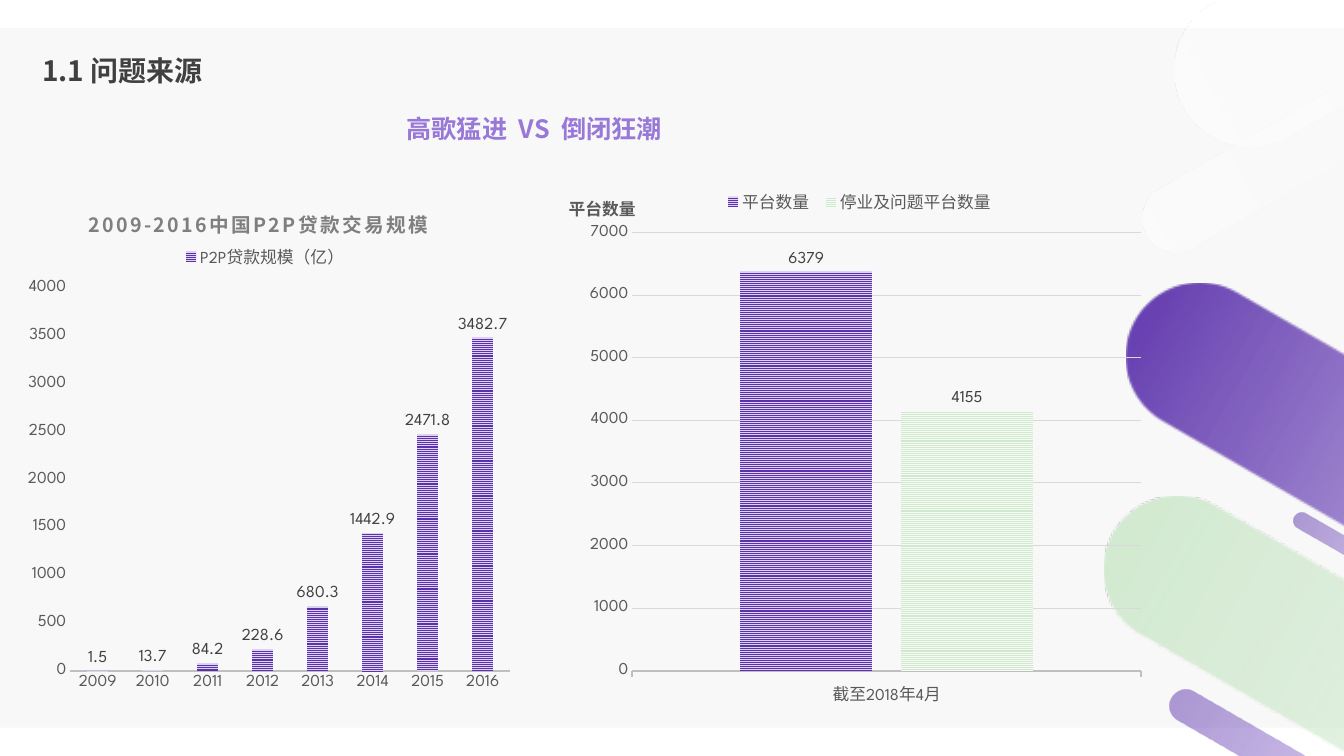
import dataclasses
import typing

import lxml.etree
import pptx
import pptx.chart.data
import pptx.dml.color
import pptx.enum.chart
import pptx.enum.dml
import pptx.enum.shapes
import pptx.enum.text
import pptx.oxml.ns
import pptx.util

RGB = pptx.dml.color.RGBColor
Pt = pptx.util.Pt
qn = pptx.oxml.ns.qn

WHITE = RGB(0xFF, 0xFF, 0xFF)
PANEL = RGB(0xF8, 0xF8, 0xF8)
PURPLE = RGB(0x5B, 0x32, 0xAB)
VIOLET = RGB(0x5F, 0x34, 0xB2)
LAVENDER = RGB(0x99, 0x79, 0xD8)
PALE_PURPLE = RGB(0xDD, 0xD2, 0xF2)
GREEN = RGB(0xD0, 0xE9, 0xCE)
PALE_GREEN = RGB(0xF6, 0xFB, 0xF5)
INK = RGB(0x40, 0x40, 0x40)
LABEL = RGB(0x59, 0x59, 0x59)
TITLE_GRAY = RGB(0x7F, 0x7F, 0x7F)
AXIS_GRAY = RGB(0xBF, 0xBF, 0xBF)
GRID_GRAY = RGB(0xD9, 0xD9, 0xD9)
CJK_FONT = "Noto Sans CJK SC"
CHART_FONT = "League Spartan"

# Gradient stops: position %, colour, opacity %
Stops = tuple[tuple[int, RGB, int], ...]
FADE: Stops = ((85, WHITE, 50), (100, WHITE, 50))
PURPLE_FADE: Stops = ((0, PURPLE, 100), (23, VIOLET, 40)) + FADE
SOFT_FADE: Stops = ((0, PURPLE, 50),) + PURPLE_FADE[1:]
GREEN_FADE: Stops = ((0, GREEN, 100), (22, GREEN, 50)) + FADE
WHITE_FADE: Stops = ((0, WHITE, 50), (21, WHITE, 29), (85, WHITE, 0), (100, WHITE, 0))


class Frame(typing.NamedTuple):
    """Left, top, width and height in percent of the slide."""
    left: float
    top: float
    width: float
    height: float


@dataclasses.dataclass
class Capsule:
    frame: Frame
    tilt: int
    stops: Stops


@dataclasses.dataclass
class Bars:
    name: str
    values: tuple[float, ...]
    stripe: RGB
    ground: RGB


@dataclasses.dataclass
class BarChart:
    frame: Frame
    categories: tuple[str, ...]
    series: tuple[Bars, ...]
    top_value: int
    step: int
    overlap: int
    plot_area: tuple[float, ...]
    legend_area: tuple[float, ...]


deck = pptx.Presentation()
deck.slide_width, deck.slide_height = pptx.util.Inches(13.33), pptx.util.Inches(7.5)
slide = deck.slides.add_slide(deck.slide_layouts[6])


def place(frame: Frame) -> list[int]:
    sides = (deck.slide_width, deck.slide_height) * 2
    return [round(side * share / 100) for side, share in zip(sides, frame)]


def write(text_frame, text: str, *, size: float, color: RGB, font: str = CJK_FONT,
          spacing: int = 0, align=None, line_spacing: float | None = None) -> None:
    paragraph = text_frame.paragraphs[0]
    paragraph.alignment, paragraph.line_spacing = align, line_spacing
    run = paragraph.add_run()
    run.text = text
    style(run.font, size, color, font)
    run.font.bold = True
    properties = run.font._element
    if spacing:
        properties.set("spc", str(spacing))
    lxml.etree.SubElement(properties, qn("a:ea")).set("typeface", CJK_FONT)


def style(font, size: float, color: RGB, name: str = CHART_FONT) -> None:
    font.size, font.name, font.bold = Pt(size), name, False
    font.color.rgb = color


def add_plain(kind, frame: Frame):
    shape = slide.shapes.add_shape(kind, *place(frame))
    shape.shadow.inherit = False
    shape.line.fill.background()
    return shape


def add_capsule(capsule: Capsule) -> None:
    shape = add_plain(pptx.enum.shapes.MSO_SHAPE.ROUNDED_RECTANGLE, capsule.frame)
    shape.adjustments[0] = 0.5
    shape.rotation = capsule.tilt
    shape.fill.gradient()
    shape.fill.gradient_angle = 0
    stop_list = next(shape._element.spPr.iter(qn("a:gsLst")))
    for stop in list(stop_list):
        stop_list.remove(stop)
    for position, color, opacity in capsule.stops:
        stop = lxml.etree.SubElement(stop_list, qn("a:gs"), pos=str(position * 1000))
        fill = lxml.etree.SubElement(stop, qn("a:srgbClr"), val=str(color))
        lxml.etree.SubElement(fill, qn("a:alpha"), val=str(opacity * 1000))


def add_heading(text: str, frame: Frame, **text_format) -> None:
    box = slide.shapes.add_textbox(*place(frame)).text_frame
    box.word_wrap = True
    box.vertical_anchor = pptx.enum.text.MSO_ANCHOR.MIDDLE
    write(box, text, **text_format)


def set_layout(element, index: int, area: tuple[float, ...], inner: bool = False) -> None:
    """Pin a chart part to x, y, w, h given as shares of the chart."""
    for old in element.findall(qn("c:layout")):
        element.remove(old)
    layout = lxml.etree.Element(qn("c:layout"))
    manual = lxml.etree.SubElement(layout, qn("c:manualLayout"))
    settings = [("layoutTarget", "inner")] if inner else []
    settings += [("xMode", "edge"), ("yMode", "edge"), *zip("xywh", area)]
    for tag, value in settings:
        lxml.etree.SubElement(manual, qn(f"c:{tag}")).set("val", str(value))
    element.insert(index, layout)


def add_bar_chart(bar_chart: BarChart):
    data = pptx.chart.data.CategoryChartData()
    data.categories = bar_chart.categories
    for bars in bar_chart.series:
        data.add_series(bars.name, bars.values)
    kinds = pptx.enum.chart
    chart = slide.shapes.add_chart(
        kinds.XL_CHART_TYPE.COLUMN_CLUSTERED, *place(bar_chart.frame), data).chart
    style(chart.font, 12, LABEL)
    chart.has_title = False
    chart.has_legend = True
    chart.legend.position = kinds.XL_LEGEND_POSITION.TOP
    chart.legend.include_in_layout = False
    style(chart.legend.font, 12, LABEL)
    set_layout(chart.legend._element, 1, bar_chart.legend_area)
    set_layout(chart._chartSpace.chart.plotArea, 0, bar_chart.plot_area, inner=True)

    plot = chart.plots[0]
    plot.gap_width, plot.overlap, plot.vary_by_categories = 164, bar_chart.overlap, False
    for bars, drawn in zip(bar_chart.series, plot.series):
        fill = drawn.format.fill
        fill.patterned()
        fill.pattern = pptx.enum.dml.MSO_PATTERN.NARROW_HORIZONTAL
        fill.fore_color.rgb, fill.back_color.rgb = bars.stripe, bars.ground
        labels = drawn.data_labels
        labels.show_value = True
        labels.position = kinds.XL_LABEL_POSITION.OUTSIDE_END
        style(labels.font, 12, INK)

    for axis in (chart.category_axis, chart.value_axis):
        axis.major_tick_mark = kinds.XL_TICK_MARK.NONE
        axis.has_major_gridlines = False
        style(axis.tick_labels.font, 12, LABEL)
    axis_line = chart.category_axis.format.line
    axis_line.color.rgb, axis_line.width = AXIS_GRAY, Pt(1.5)
    values = chart.value_axis
    values.format.line.fill.background()
    values.minimum_scale, values.maximum_scale = 0, bar_chart.top_value
    values.major_unit = bar_chart.step
    return chart


# Background panel and capsules
panel = add_plain(pptx.enum.shapes.MSO_SHAPE.RECTANGLE, Frame(0, 3.73, 100, 92.53))
panel.fill.solid()
panel.fill.fore_color.rgb = PANEL
for decoration in (
    Capsule(Frame(74.27, 101.07, 154.16, 19.6), 30, PURPLE_FADE),
    Capsule(Frame(82.22, -35.33, 89.05, 20.13), 330, WHITE_FADE),
    Capsule(Frame(82.67, 9.07, 39.53, 8.93), 330, WHITE_FADE),
    Capsule(Frame(72.62, 129.33, 154.16, 19.6), 30, GREEN_FADE),
    Capsule(Frame(95.12, 75.33, 18.3, 2.27), 30, SOFT_FADE),
    Capsule(Frame(84.85, 105.73, 35.18, 4.4), 30, SOFT_FADE),
):
    add_capsule(decoration)

# Headings
add_heading("1.1 问题来源", Frame(2.4, 5.73, 37.43, 7.73), size=20, color=INK,
            line_spacing=0.9)
add_heading("高歌猛进  VS  倒闭狂潮", Frame(-3.08, 12.67, 85.67, 6.67), size=18,
            color=LAVENDER, align=pptx.enum.text.PP_ALIGN.CENTER, line_spacing=1.5)

# Platform counts
platforms = add_bar_chart(BarChart(
    Frame(39.83, 23.87, 45.16, 69.47), ("截至2018年4月",),
    (Bars("平台数量", (6379,), PURPLE, PALE_PURPLE),
     Bars("停业及问题平台数量", (4155,), GREEN, PALE_GREEN)),
    7000, 1000, -22, (0.16, 0.1, 0.84, 0.84), (0.3, 0.01, 0.47, 0.06)))
platforms.category_axis.major_tick_mark = pptx.enum.chart.XL_TICK_MARK.OUTSIDE
grid_line = platforms.value_axis.major_gridlines.format.line
grid_line.color.rgb, grid_line.width = GRID_GRAY, Pt(0.75)
count_title = platforms.value_axis.axis_title
write(count_title.text_frame, "平台数量", size=12, color=LABEL, font=CHART_FONT)
count_title.text_frame._txBody.bodyPr.set("rot", "0")
count_title.text_frame._txBody.bodyPr.set("vert", "horz")
set_layout(count_title._element, 1, (0.05, 0.02))

# Loan volume by year
loans = add_bar_chart(BarChart(
    Frame(1.13, 23.47, 37.21, 69.47), tuple(str(year) for year in range(2009, 2017)),
    (Bars("P2P贷款规模（亿）", (1.5, 13.7, 84.2, 228.6, 680.3, 1442.9, 2471.8, 3482.7),
          PURPLE, PALE_PURPLE),),
    4000, 500, 0, (0.11, 0.21, 0.88, 0.73), (0.32, 0.12, 0.36, 0.06)))
loans.has_title = True
write(loans.chart_title.text_frame, "2009-2016中国P2P贷款交易规模", size=14,
      color=TITLE_GRAY, spacing=150)
set_layout(loans.chart_title._element, 1, (0.14, 0.05))

deck.save("out.pptx")
